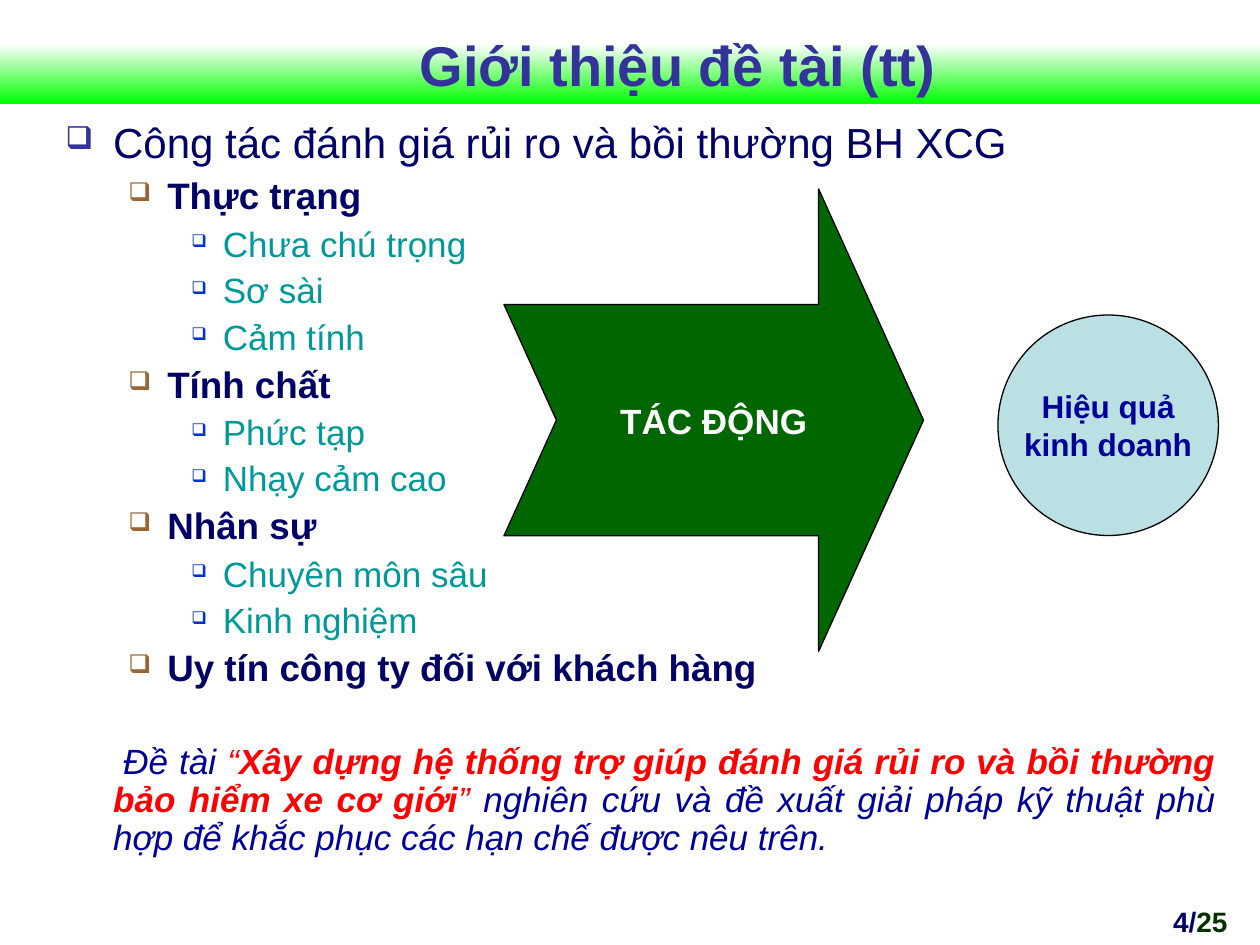
from dataclasses import dataclass

import pptx
import pptx.dml.color
import pptx.enum.shapes
import pptx.enum.text
import pptx.util
from lxml import etree
from pptx.dml.color import RGBColor
from pptx.oxml.ns import qn
from pptx.util import Inches

WHITE = RGBColor(0xFF, 0xFF, 0xFF)
BLACK = RGBColor(0x00, 0x00, 0x00)
GREEN = RGBColor(0x01, 0xFF, 0x01)
DARK_GREEN = RGBColor(0x00, 0x66, 0x00)
PAGE_GREEN = RGBColor(0x00, 0x33, 0x00)
NAVY = RGBColor(0x00, 0x00, 0x66)
BLUE = RGBColor(0x00, 0x00, 0x99)
BRIGHT_BLUE = RGBColor(0x00, 0x33, 0xCC)
INDIGO = RGBColor(0x33, 0x33, 0x99)
TEAL = RGBColor(0x00, 0x99, 0x99)
PALE_BLUE = RGBColor(0xBB, 0xE0, 0xE3)
BROWN = RGBColor(0x99, 0x66, 0x33)
RED = RGBColor(0xFF, 0x00, 0x00)

FONT = "Arial"
ALIGN = pptx.enum.text.PP_ALIGN
ANCHOR = pptx.enum.text.MSO_ANCHOR
SHAPE = pptx.enum.shapes.MSO_SHAPE


@dataclass(frozen=True)
class OutlineLevel:
    margin: float
    hanging: float
    space_after: float
    bullet_color: RGBColor
    bullet_percent: int
    size: float
    color: RGBColor
    bold: bool


@dataclass(frozen=True)
class TextPart:
    text: str
    color: RGBColor
    bold: bool = False


LEVELS = [
    OutlineLevel(0.38, 0.38, 6, INDIGO, 75, 24, NAVY, False),
    OutlineLevel(0.81, 0.31, 5.2, BROWN, 70, 21, NAVY, True),
    OutlineLevel(1.25, 0.25, 5, BRIGHT_BLUE, 50, 20, TEAL, False),
]

OUTLINE = [
    (0, "Công tác đánh giá rủi ro và bồi thường BH XCG"),
    (1, "Thực trạng"),
    (2, "Chưa chú trọng"),
    (2, "Sơ sài"),
    (2, "Cảm tính"),
    (1, "Tính chất"),
    (2, "Phức tạp"),
    (2, "Nhạy cảm cao"),
    (1, "Nhân sự"),
    (2, "Chuyên môn sâu"),
    (2, "Kinh nghiệm"),
    (1, "Uy tín công ty đối với khách hàng"),
]

SUMMARY = [
    TextPart("Đề tài ", BLUE),
    TextPart("“", RED),
    TextPart("Xây dựng hệ thống trợ giúp đánh giá rủi ro và bồi thường bảo hiểm xe cơ giới", RED, True),
    TextPart("”", RED),
    TextPart(" nghiên cứu và đề xuất giải pháp kỹ thuật phù hợp để khắc phục các hạn chế được nêu trên.", BLUE),
]

PAGE_NUMBER = [TextPart("4/", NAVY, True), TextPart("25", PAGE_GREEN, True)]


def set_font(paragraph, size: float, color: RGBColor | None = None, bold: bool | None = None) -> None:
    paragraph.font.name = FONT
    paragraph.font.size = pptx.util.Pt(size)
    if bold is not None:
        paragraph.font.bold = bold
    if color is not None:
        paragraph.font.color.rgb = color


def set_indent(paragraph, margin: float, first_line: float):
    properties = paragraph._p.get_or_add_pPr()
    properties.set("marL", str(Inches(margin)))
    properties.set("indent", str(Inches(first_line)))
    return properties


def add_parts(paragraph, parts: list[TextPart]) -> None:
    for part in parts:
        run = paragraph.add_run()
        run.text = part.text
        run.font.bold = part.bold
        run.font.color.rgb = part.color


def add_text_frame(slide, left: float, top: float, width: float, height: float):
    box = slide.shapes.add_textbox(Inches(left), Inches(top), Inches(width), Inches(height))
    box.text_frame.word_wrap = True
    return box.text_frame


def format_outline_item(paragraph, level_number: int, text: str) -> None:
    level = LEVELS[level_number]
    paragraph.text = text
    paragraph.level = level_number
    properties = set_indent(paragraph, level.margin, -level.hanging)
    bullet_color = etree.SubElement(properties, qn("a:buClr"))
    etree.SubElement(bullet_color, qn("a:srgbClr"), val=str(level.bullet_color))
    etree.SubElement(properties, qn("a:buSzPct"), val=str(level.bullet_percent * 1000))
    etree.SubElement(properties, qn("a:buChar"), char="❑")
    paragraph.alignment = ALIGN.JUSTIFY
    paragraph.line_spacing = 0.9
    paragraph.space_after = pptx.util.Pt(level.space_after)
    set_font(paragraph, level.size, level.color, level.bold)


def add_title_band(slide) -> None:
    band = slide.shapes.add_shape(SHAPE.RECTANGLE, 0, Inches(0.35), Inches(10), Inches(0.47))
    band.shadow.inherit = False
    band.line.fill.background()
    band.fill.gradient()
    band.fill.gradient_angle = 270
    for stop, color in zip(band.fill.gradient_stops, (WHITE, GREEN)):
        stop.color.rgb = color


def add_body(slide) -> None:
    frame = add_text_frame(slide, 0.42, 0.92, 9.33, 6.08)
    for index, (level_number, text) in enumerate(OUTLINE):
        paragraph = frame.add_paragraph() if index else frame.paragraphs[0]
        format_outline_item(paragraph, level_number, text)
    summary = frame.add_paragraph()
    set_indent(summary, 0.38, 0.08)
    summary.alignment = ALIGN.JUSTIFY
    summary.line_spacing = 0.9
    summary.space_before = pptx.util.Pt(26)
    set_font(summary, 20)
    summary.font.italic = True
    add_parts(summary, SUMMARY)


def add_labelled_shape(slide, kind, left: float, top: float, width: float, height: float,
                       fill: RGBColor, lines: list[str], size: float, color: RGBColor):
    shape = slide.shapes.add_shape(kind, Inches(left), Inches(top), Inches(width), Inches(height))
    shape.shadow.inherit = False
    shape.fill.solid()
    shape.fill.fore_color.rgb = fill
    shape.line.color.rgb = BLACK
    shape.line.width = pptx.util.Pt(0.75)
    frame = shape.text_frame
    frame.word_wrap = False
    frame.vertical_anchor = ANCHOR.MIDDLE
    frame.text = "\n".join(lines)
    for paragraph in frame.paragraphs:
        paragraph.alignment = ALIGN.CENTER
        set_font(paragraph, size, color, True)
    return shape


def main() -> None:
    presentation = pptx.Presentation()
    presentation.slide_width = Inches(10)
    presentation.slide_height = Inches(7.5)
    slide = presentation.slides.add_slide(presentation.slide_layouts[6])

    add_title_band(slide)

    page_number = add_text_frame(slide, 8.92, 7.13, 0.92, 0.33).paragraphs[0]
    page_number.alignment = ALIGN.RIGHT
    set_font(page_number, 16)
    add_parts(page_number, PAGE_NUMBER)

    title_frame = add_text_frame(slide, 0.92, 0.17, 8.92, 0.67)
    title_frame.vertical_anchor = ANCHOR.MIDDLE
    title = title_frame.paragraphs[0]
    title.text = "Giới thiệu đề tài (tt)"
    title.alignment = ALIGN.CENTER
    set_font(title, 32, INDIGO, True)

    add_body(slide)

    impact_arrow = add_labelled_shape(slide, SHAPE.NOTCHED_RIGHT_ARROW, 4, 1.5, 3.33, 3.67,
                                      DARK_GREEN, ["TÁC ĐỘNG"], 20, WHITE)
    impact_arrow.adjustments[0] = 0.5
    impact_arrow.adjustments[1] = 0.25
    add_labelled_shape(slide, SHAPE.OVAL, 7.92, 2.5, 1.75, 1.75,
                       PALE_BLUE, ["Hiệu quả", "kinh doanh"], 18, BLUE)

    presentation.save("out.pptx")


if __name__ == "__main__":
    main()
